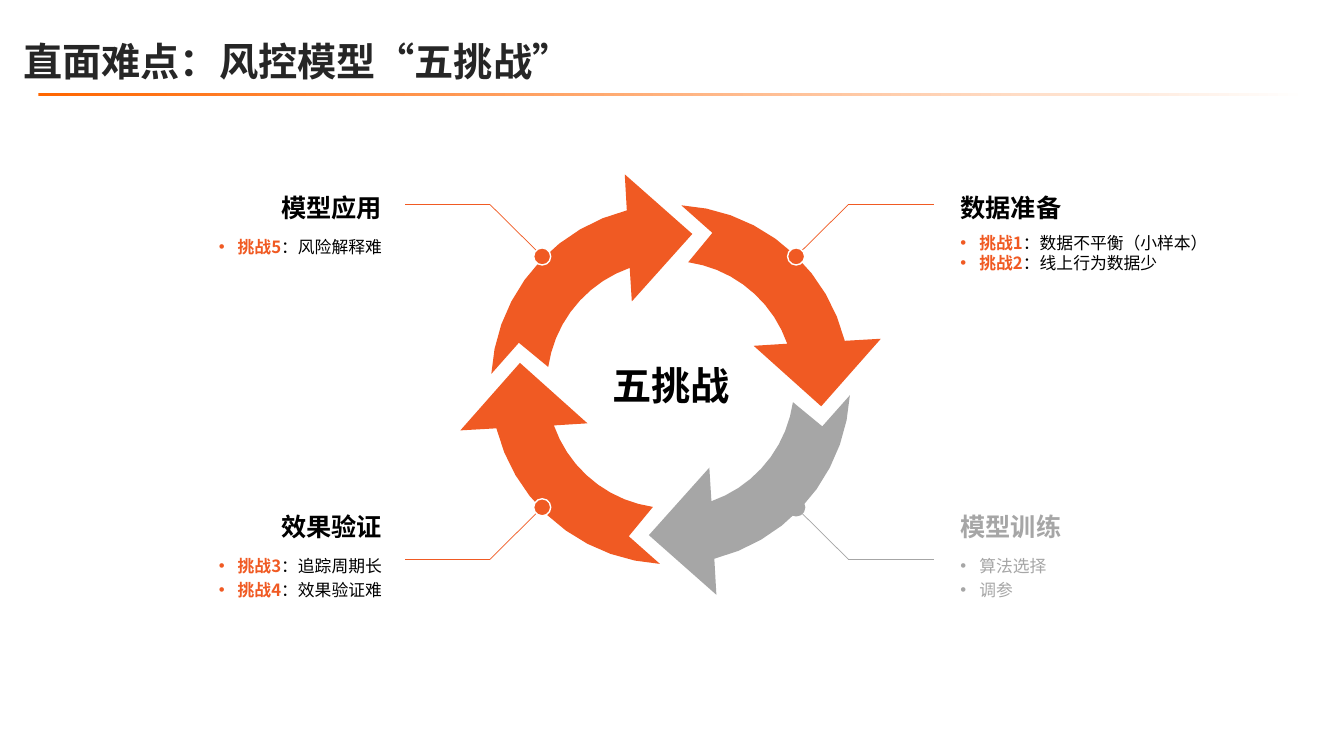
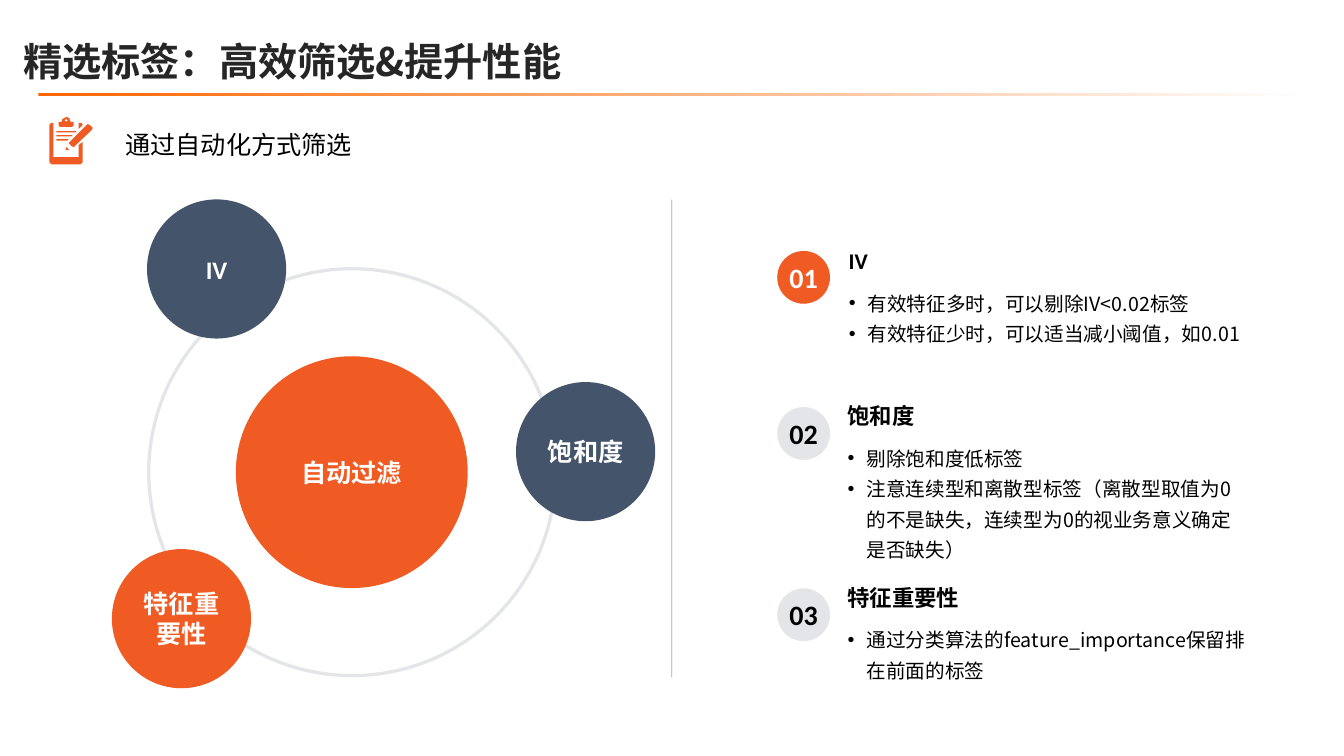
from math import cos, radians, sin

from lxml import etree
from pptx import Presentation
from pptx.dml.color import RGBColor
from pptx.enum.shapes import MSO_CONNECTOR, MSO_SHAPE
from pptx.enum.text import MSO_ANCHOR, MSO_AUTO_SIZE, PP_ALIGN
from pptx.oxml.ns import qn
from pptx.util import Pt

LEFT, CENTER, RIGHT = PP_ALIGN.LEFT, PP_ALIGN.CENTER, PP_ALIGN.RIGHT
TOP, MIDDLE, BOTTOM = MSO_ANCHOR.TOP, MSO_ANCHOR.MIDDLE, MSO_ANCHOR.BOTTOM
OVAL, DONUT, BAR = MSO_SHAPE.OVAL, MSO_SHAPE.DONUT, MSO_SHAPE.RECTANGLE
ROUNDED = MSO_SHAPE.ROUNDED_RECTANGLE
STRAIGHT = MSO_CONNECTOR.STRAIGHT

ORANGE, SLATE, GRAY = "F05A23", "44546A", "A6A6A6"
BLACK, WHITE, TITLE_INK = "000000", "FFFFFF", "262626"
CJK, LATIN = "Noto Sans CJK SC", "Calibri"
FINE = 100  # outline units per point, as outlines keep whole units only
rgb = RGBColor.from_string


def paint(shape, fill=None, line=None):
    shape.shadow.inherit = False
    if fill:
        shape.fill.solid()
        shape.fill.fore_color.rgb = rgb(fill)
    else:
        shape.fill.background()
    if line:
        shape.line.color.rgb = rgb(line)
        shape.line.width = Pt(1)
    else:
        shape.line.fill.background()


def write(shape, lines, size, color=BLACK, bold=False, align=LEFT, anchor=TOP,
          font=CJK, spacing=1.0, bullet=False, wrap=True):
    """Each line is a string, or a pair of accented and plain text."""
    frame = shape.text_frame
    frame.word_wrap = wrap
    frame.auto_size = MSO_AUTO_SIZE.NONE
    frame.vertical_anchor = anchor
    for index, line in enumerate(lines):
        para = frame.add_paragraph() if index else frame.paragraphs[0]
        para.alignment = align
        para.line_spacing = spacing
        if bullet:
            props = para._p.get_or_add_pPr()
            props.set("marL", str(Pt(13.5)))
            props.set("indent", str(-Pt(13.5)))
            etree.SubElement(props, qn("a:buFont"), typeface="Arial")
            etree.SubElement(props, qn("a:buChar"), char="•")
        para.font.name = font
        para.font.size = Pt(size)
        para.font.bold = bold
        para.font.color.rgb = rgb(color)
        for latin in list(para._p.iter(qn("a:latin"))):
            latin.addnext(latin.makeelement(qn("a:ea"), {"typeface": CJK}))
        parts = (line,) if isinstance(line, str) else line
        for part in parts:
            span = para.add_run()
            span.text = part
            if len(parts) > 1 and part is parts[0]:
                span.font.bold = True
                span.font.color.rgb = rgb(ORANGE)


deck = Presentation()
deck.slide_width, deck.slide_height = Pt(960), Pt(540)
connectors = []
faint = []  # shapes with their opacity in percent

# Shared title and fading rule
pages = []
for heading in ("直面难点：风控模型“五挑战”", "精选标签：高效筛选&提升性能"):
    page = deck.slides.add_slide(deck.slide_layouts[5])
    title = page.shapes.title
    title.left, title.top, title.width, title.height = Pt(9.5), Pt(6), Pt(925), Pt(68)
    write(title, [heading], 28, TITLE_INK, True, anchor=MIDDLE, spacing=1.2)
    rule = page.shapes.add_shape(BAR, Pt(27.4), Pt(66.4), Pt(907), Pt(2.2))
    rule.shadow.inherit = False
    rule.line.fill.background()
    rule.fill.gradient()
    rule.fill.gradient_angle = 0
    for stop, color in zip(rule.fill.gradient_stops, ("FF6600", WHITE)):
        stop.color.rgb = rgb(color)
    pages.append(page)
cycle_page, filter_page = pages

# Slide 1: ring of four arrows, each a quarter turn after the last
RING_X, RING_Y, ARC_STEPS = 479, 274.7, 9
arrow_points = [(108.7, 8.2), (65.5, -25)]  # radius, degrees clockwise from top
arrow_points += [(88.3, -19.3 - 62.5 * step / ARC_STEPS) for step in range(ARC_STEPS + 1)]
arrow_points += [(112.4, -74.6)]
arrow_points += [(128.3, -86.6 + 72.5 * step / ARC_STEPS) for step in range(ARC_STEPS + 1)]
arrow_points += [(153.7, -12.3)]
for quarter, color in enumerate((ORANGE, ORANGE, GRAY, ORANGE)):
    outline = []
    for radius, degrees in arrow_points:
        angle = radians(degrees + 90 * quarter)
        outline.append(((RING_X + radius * sin(angle)) * FINE,
                        (RING_Y - radius * cos(angle)) * FINE))
    builder = cycle_page.shapes.build_freeform(*outline[0], scale=Pt(1) / FINE)
    builder.add_line_segments(outline[1:])
    paint(builder.convert_to_shape(), color)

center = cycle_page.shapes.add_shape(ROUNDED, Pt(419), Pt(235.4), Pt(121), Pt(78.5))
center.adjustments[0] = 0
paint(center)
write(center, ["五挑战"], 28, bold=True, align=CENTER, anchor=MIDDLE)

# Callouts: horizontal side, vertical side, heading, bullets, line spacing
LEADER_X, LEADER_Y = 478, 272.8
callouts = [
    (-1, -1, "模型应用", [("挑战5", "：风险解释难")], 1.2),
    (1, -1, "数据准备", [("挑战1", "：数据不平衡（小样本）"), ("挑战2", "：线上行为数据少")], 1.0),
    (1, 1, "模型训练", ["算法选择", "调参"], 1.2),
    (-1, 1, "效果验证", [("挑战3", "：追踪周期长"), ("挑战4", "：效果验证难")], 1.2),
]
for side, level, heading, bullets, spacing in callouts:
    muted = heading == "模型训练"
    accent, ink = (GRAY, GRAY) if muted else (ORANGE, BLACK)
    bends = [(LEADER_X + side * across, LEADER_Y + level * down)
             for across, down in ((95, 94), (128, 126.7), (189, 126.7))]
    for begin, end in zip(bends, bends[1:]):
        leader = cycle_page.shapes.add_connector(
            STRAIGHT, *(Pt(value) for value in begin + end))
        leader.line.color.rgb = rgb(accent)
        leader.line.width = Pt(0.5)
        connectors.append(leader)
    dot = cycle_page.shapes.add_shape(
        OVAL, Pt(LEADER_X + side * 90.7 - 6.1), Pt(LEADER_Y + level * 89.6 - 6.1),
        Pt(12.2), Pt(12.2))
    paint(dot, accent, GRAY if muted else WHITE)

    left = 679 if side > 0 else 51.8
    top = 343.4 if level > 0 else 115.6
    align = LEFT if side > 0 else RIGHT
    box = cycle_page.shapes.add_textbox(Pt(left), Pt(top), Pt(228.2), Pt(46.8))
    write(box, [heading], 18, ink, True, align, BOTTOM)
    box = cycle_page.shapes.add_textbox(Pt(left), Pt(top + 46.8), Pt(228.2), Pt(54))
    write(box, bullets, 12, ink, align=align, spacing=spacing, bullet=True)

# Slide 2: subtitle with clipboard icon
box = filter_page.shapes.add_textbox(Pt(82.4), Pt(88.6), Pt(311), Pt(28.8))
write(box, ["通过自动化方式筛选"], 18, font="Arial")

clip = [(47.5, 83.5), (49.5, 84.5), (50.4, 87.1), (52.6, 87.1), (52.6, 89.5),
        (51.5, 90.7), (42.8, 90.7), (41.8, 89.5), (41.8, 87.1), (43.9, 87.1),
        (44.6, 85)]
clip_hole = [(47.3, 85), (46.1, 86), (47.3, 87.1), (48.4, 86)]
corner = [(56.2, 87.8), (58.3, 87.8), (59, 89.3), (56.2, 92.2)]
board = [(36.7, 87.8), (38.2, 87.8), (38.2, 112.3), (56.2, 112.3), (56.2, 103.7),
         (59, 101.5), (59, 116), (57.6, 117.4), (36.7, 117.4), (35.3, 116),
         (35.3, 89.3)]
pencil = [(62.6, 88.6), (64.1, 89.3), (66.2, 91.4), (65.5, 92.9), (52.6, 105.1),
          (51.1, 104.4), (49, 102.2)]
pencil_tip = [(47.5, 105.1), (49, 106.6), (49, 107.3), (46.8, 107.3)]
icon = [[clip, clip_hole], [corner], [board], [pencil], [pencil_tip]]
for row, end in enumerate((54.7, 51.8, 49)):
    y = 93.6 + 2.9 * row
    icon.append([[(40.3, y), (end, y), (end - 1, y + 1), (40.3, y + 1)]])
for contours in icon:
    outer, *holes = [[(x * FINE, y * FINE) for x, y in contour] for contour in contours]
    builder = filter_page.shapes.build_freeform(*outer[0], scale=Pt(1) / FINE)
    builder.add_line_segments(outer[1:])
    for hole in holes:
        builder.move_to(*hole[0])
        builder.add_line_segments(hole[1:])
    paint(builder.convert_to_shape(), ORANGE)

# Orbit with its circles
orbit = filter_page.shapes.add_shape(DONUT, Pt(105.1), Pt(190.8), Pt(293), Pt(293))
orbit.adjustments[0] = 0.008
paint(orbit, SLATE)
faint.append((orbit, 15))
circles = [
    ("自动过滤", 168.5, 254.5, 165.6, ORANGE, CJK),
    ("饱和度", 368.6, 272.9, 99.4, SLATE, CJK),
    ("IV", 105, 142.4, 99.4, SLATE, LATIN),
    ("特征重要性", 79.9, 392.2, 99.4, ORANGE, CJK),
]
for label, left, top, size, color, font in circles:
    circle = filter_page.shapes.add_shape(OVAL, Pt(left), Pt(top), Pt(size), Pt(size))
    paint(circle, color)
    write(circle, [label], 18, WHITE, True, CENTER, MIDDLE, font)

# Divider
divider = filter_page.shapes.add_connector(
    STRAIGHT, Pt(479.9), Pt(142.6), Pt(479.9), Pt(483.8))
divider.line.color.rgb = rgb(SLATE)
divider.line.width = Pt(0.5)
connectors.append(divider)
faint.append((divider, 50))

# Numbered rules: left, top, badge top, body height, heading, font, bullets
rules = [
    (599.2, 173, 179.3, 51.1, "IV", LATIN,
     ["有效特征多时，可以剔除IV<0.02标签", "有效特征少时，可以适当减小阈值，如0.01"]),
    (598.4, 283.7, 290.8, 95, "饱和度", CJK,
     ["剔除饱和度低标签",
      "注意连续型和离散型标签（离散型取值为0的不是缺失，连续型为0的视业务意义确定是否缺失）"]),
    (598.4, 413.3, 420.3, 51.1, "特征重要性", CJK,
     ["通过分类算法的feature_importance保留排在前面的标签"]),
]
for number, (left, top, badge_top, height, heading, font, bullets) in enumerate(rules, 1):
    box = filter_page.shapes.add_textbox(Pt(left), Pt(top), Pt(139), Pt(26.6))
    write(box, [heading], 16, bold=True, anchor=BOTTOM, font=font)
    box = filter_page.shapes.add_textbox(Pt(left), Pt(top + 26.6), Pt(298), Pt(height))
    write(box, bullets, 14, spacing=1.3, bullet=True)
    badge = filter_page.shapes.add_shape(
        ROUNDED, Pt(555.2), Pt(badge_top), Pt(37.7), Pt(37.7))
    badge.adjustments[0] = 0.5
    first = number == 1
    paint(badge, ORANGE if first else SLATE)
    if not first:
        faint.append((badge, 15))
    write(badge, [f"{number:02}"], 20, WHITE if first else BLACK, True, CENTER, MIDDLE,
          LATIN, wrap=False)

# Opacity and connector shadows
for shape, percent in faint:
    color = next(shape._element.spPr.iter(qn("a:srgbClr")))
    etree.SubElement(color, qn("a:alpha"), val=str(percent * 1000))
for connector in connectors:
    etree.SubElement(connector._element.spPr, qn("a:effectLst"))

deck.save("out.pptx")
